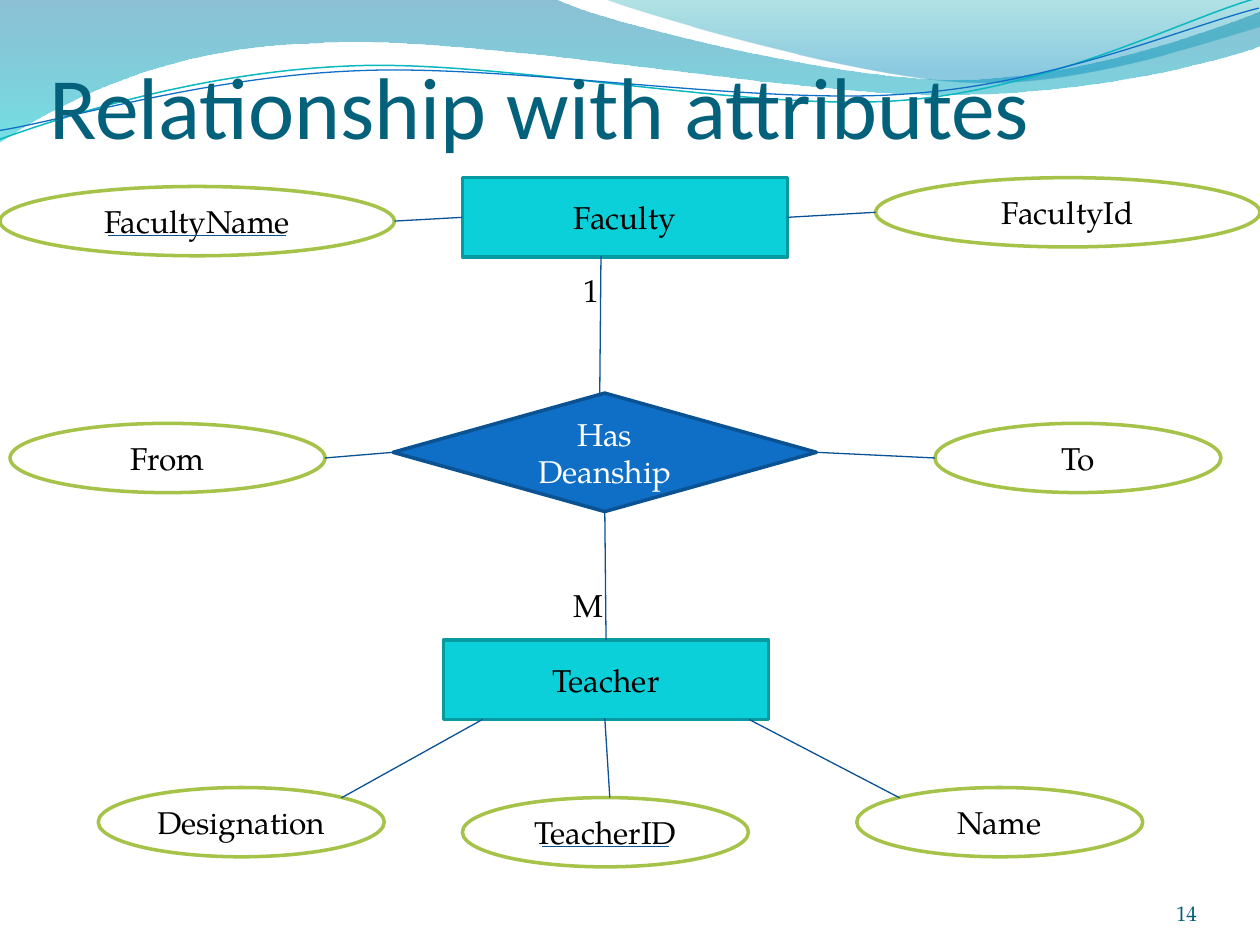
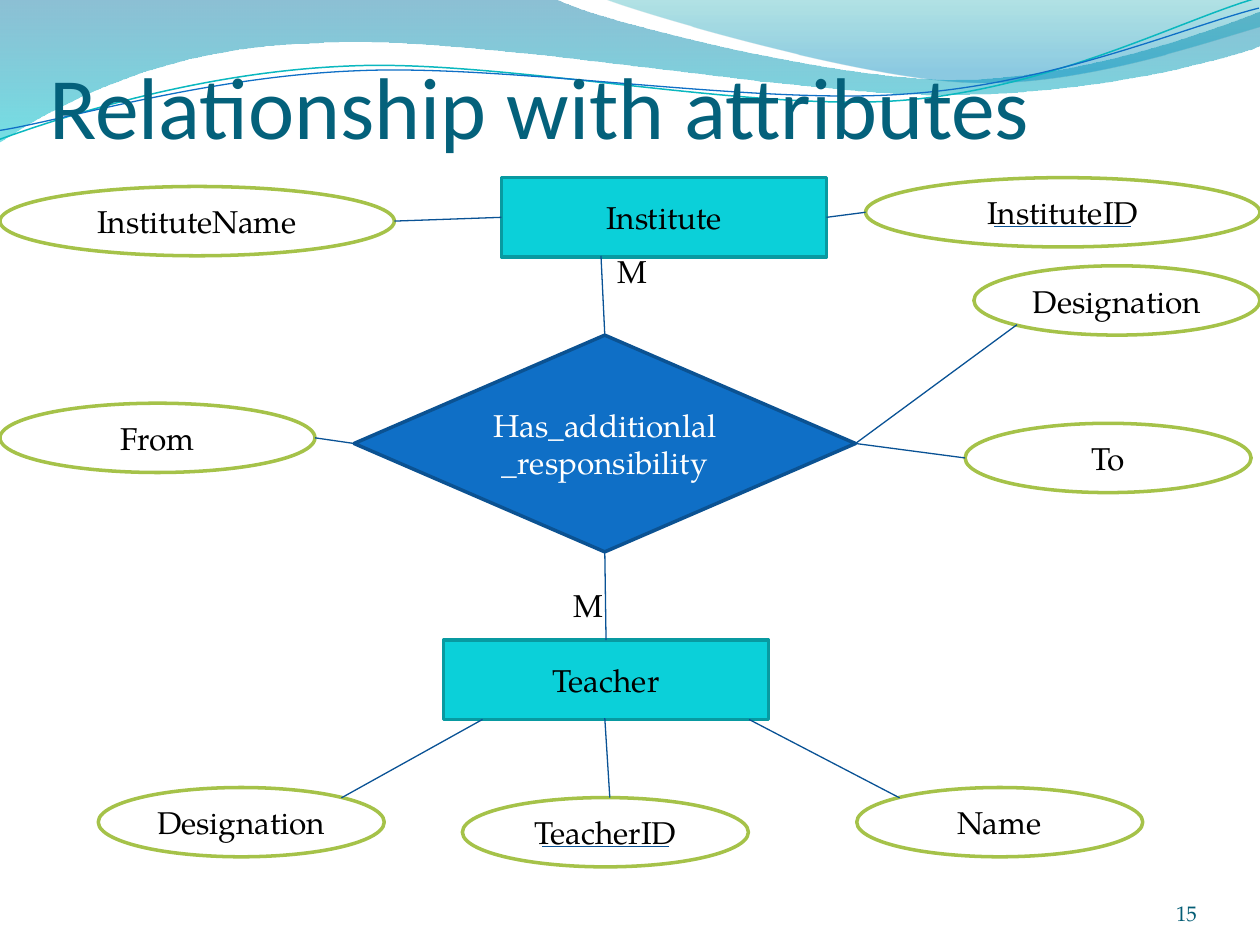
from lxml.etree import SubElement
from pptx import Presentation
from pptx.dml.color import RGBColor
from pptx.enum.shapes import MSO_CONNECTOR, MSO_SHAPE
from pptx.enum.text import MSO_ANCHOR, MSO_AUTO_SIZE, PP_ALIGN
from pptx.oxml.ns import qn
from pptx.util import Inches, Pt

BODY_FONT = "TeX Gyre Pagella"
LINK_COLOUR = "095295"

# Waves: start point, then segments of one point (straight) or three (Bezier);
# gradient stops with opacity, or stroke colour and width; rotation
WAVES = [
    ([(0, 0)], [
        [(4.4, -0.01)],
        [(4.76, 0.17), (6.64, 0.63), (7.58, 0.63)],
        [(8.53, 0.63), (9.58, 0.26), (10, 0.09)],
        [(10.01, 0.36)],
        [(9.83, 0.44), (8.7, 0.76), (7.46, 0.75)],
        [(6.22, 0.75), (3.82, 0.28), (2.57, 0.34)],
        [(1.29, 0.36), (0.46, 0.83), (-0.01, 1.13)]],
     [(0, "0074A1", 45), (1, "00C6CF", 55)], None, 0),
    ([(4.79, -0.01)], [
        [(5.09, 0.11), (6.82, 0.62), (7.69, 0.65)],
        [(8.56, 0.69), (9.61, 0.32), (10, 0.21)],
        [(10, 0)]],
     [(0, "00A1A9", 30), (0.8, "008BBF", 45)], None, 0),
    ([(-0.02, 0.87)], [
        [(0.47, 0.72), (1.58, 0.41), (2.78, 0.42)],
        [(3.96, 0.42), (5.91, 0.93), (7.12, 0.9)],
        [(8.32, 0.87), (9.4, 0.36), (10, 0.22)]],
     None, ("0AB8BF", 0.85), 357.3),
    ([(-0.02, 0.8)], [
        [(0.46, 0.75), (1.64, 0.45), (2.83, 0.46)],
        [(4.03, 0.46), (5.96, 0.88), (7.16, 0.85)],
        [(8.35, 0.83), (9.42, 0.42), (10.01, 0.3)]],
     None, ("0F6FC6", 0.75), 357.3),
]

# Node kinds: preset shape, fill, outline, text colour
KINDS = {
    "entity": (MSO_SHAPE.RECTANGLE, "0BD0D9", "089AA1", "000000"),
    "relation": (MSO_SHAPE.DIAMOND, "0F6FC6", "0B5292", "FFFFFF"),
    "attribute": (MSO_SHAPE.OVAL, "FFFFFF", "A5C249", "000000"),
}
ENTITY_SIZE = (2.58, 0.63)
OVAL_HEIGHT = 0.55
OVAL_SIZE = (2.27, OVAL_HEIGHT)

# Places on a node's outline, as shares of its width and height
SITES = {
    "top": (0.5, 0), "bottom": (0.5, 1), "left": (0, 0.5), "right": (1, 0.5),
    "top left": (0.15, 0.15), "top right": (0.85, 0.15),
    "bottom left": (0.15, 0.85),
    "foot left": (0.12, 1), "foot right": (0.94, 1),
}

# What both diagrams have: the teacher, its attributes and the links by role
TEACHER_NODES = {
    "teacher": ("entity", "Teacher", 3.52, 5.08, *ENTITY_SIZE),
    "post": ("attribute", "Designation", 0.78, 6.25, *OVAL_SIZE),
    "teacher id": ("attribute", "TeacherID", 3.67, 6.33, *OVAL_SIZE),
    "teacher name": ("attribute", "Name", 6.8, 6.25, *OVAL_SIZE),
}
COMMON_LINKS = [
    (("teacher", "top"), ("relation", "bottom")),
    (("relation", "right"), ("end", "left")),
    (("relation", "left"), ("start", "right")),
    (("teacher", "foot left"), ("post", "top right")),
    (("teacher", "foot right"), ("teacher name", "top left")),
    (("unit name", "right"), ("unit", "left")),
    (("unit", "right"), ("unit id", "left")),
]
TEACHER_LINES = [((5.31, 6.72), (4.3, 6.72)), ((4.8, 5.7), (4.84, 6.33))]
TEACHER_CARDINALITY = ("M", 4.45, 4.6, 0.43)

DIAGRAMS = [
    {
        "number": "14",
        "nodes": {
            "relation": ("relation", "Has Deanship", 3.12, 3.12, 3.36, 0.94),
            "end": ("attribute", "To", 7.42, 3.36, *OVAL_SIZE),
            "start": ("attribute", "From", 0.08, 3.36, 2.5, OVAL_HEIGHT),
            "unit": ("entity", "Faculty", 3.67, 1.41, *ENTITY_SIZE),
            "unit name": ("attribute", "FacultyName", 0, 1.48, 3.13, OVAL_HEIGHT),
            "unit id": ("attribute", "FacultyId", 6.95, 1.41, 3.05, OVAL_HEIGHT),
        },
        "links": [],
        "lines": [((4.76, 3.13), (4.77, 2.03)), ((0.86, 1.87), (2.27, 1.87))],
        "cardinality": ("1", 4.53, 2.1, 0.28),
    },
    {
        "number": "15",
        "nodes": {
            "relation": ("relation", "Has_additionlal_responsibility",
                         2.81, 2.66, 3.98, 1.72),
            "end": ("attribute", "To", 7.66, 3.36, *OVAL_SIZE),
            "start": ("attribute", "From", 0, 3.2, 2.5, OVAL_HEIGHT),
            "unit": ("entity", "Institute", 3.98, 1.41, *ENTITY_SIZE),
            "unit name": ("attribute", "InstituteName", 0, 1.48, 3.13, OVAL_HEIGHT),
            "duty": ("attribute", "Designation", 7.73, 2.11, *OVAL_SIZE),
            "unit id": ("attribute", "InstituteID", 6.87, 1.41, 3.13, OVAL_HEIGHT),
        },
        "links": [(("relation", "right"), ("duty", "bottom left"))],
        "lines": [((4.8, 2.66), (4.77, 2.03)), ((7.89, 1.8), (8.98, 1.8))],
        "cardinality": ("M", 4.8, 1.95, 0.43),
    },
]

TITLE_FRAME = {"word_wrap": True, "vertical_anchor": MSO_ANCHOR.BOTTOM,
               "margin_left": 0, "margin_top": Inches(0.05),
               "margin_right": 0, "margin_bottom": 0}
NUMBER_FRAME = {**TITLE_FRAME, "margin_top": 0}
NODE_FRAME = {"word_wrap": True, "vertical_anchor": MSO_ANCHOR.MIDDLE}
LABEL_FRAME = {"word_wrap": False, "auto_size": MSO_AUTO_SIZE.SHAPE_TO_FIT_TEXT}


def rgb(hex_code):
    """Return the colour for a hex string."""
    return RGBColor.from_string(hex_code)


def write(shape, text, frame_format, colour, size=18, font=BODY_FONT,
          align=PP_ALIGN.LEFT):
    """Put one formatted paragraph into a shape."""
    frame = shape.text_frame
    for name, value in frame_format.items():
        setattr(frame, name, value)
    paragraph = frame.paragraphs[0]
    paragraph.alignment = align
    run = paragraph.add_run()
    run.text = text
    for name, value in {"name": font, "size": Pt(size)}.items():
        setattr(run.font, name, value)
    run.font.color.rgb = rgb(colour)


deck = Presentation()
deck.slide_width, deck.slide_height = Inches(10), Inches(7.5)

for diagram in DIAGRAMS:
    slide = deck.slides.add_slide(deck.slide_layouts[6])
    shapes = slide.shapes

    # Wave header: draw through every point, then turn triples into curves
    for start, segments, stops, stroke, rotation in WAVES:
        points = [(Inches(x), Inches(y)) for x, y in sum(segments, start)]
        builder = shapes.build_freeform(*points[0])
        builder.add_line_segments(points[1:], close=stops is not None)
        wave = builder.convert_to_shape()
        straights = iter(list(wave._element.iter(qn("a:lnTo"))))
        for segment in segments:
            steps = [next(straights) for _ in segment]
            if len(steps) == 3:
                steps[0].tag = qn("a:cubicBezTo")
                for step in steps[1:]:
                    steps[0].append(step[0])
                    step.getparent().remove(step)
        wave.shadow.inherit = False
        wave.rotation = rotation
        if stops:
            wave.line.fill.background()
            wave.fill.gradient()
            wave.fill.gradient_angle = 270
            for stop, (position, colour, _) in zip(wave.fill.gradient_stops, stops):
                stop.position = position
                stop.color.rgb = rgb(colour)
            for code, (_, _, opacity) in zip(wave._element.spPr.iter(qn("a:srgbClr")), stops):
                SubElement(code, qn("a:alpha"), val=str(opacity * 1000))
        else:
            wave.fill.background()
            wave.line.color.rgb = rgb(stroke[0])
            wave.line.width = Pt(stroke[1])

    # Title and slide number
    title = shapes.add_textbox(Inches(0.39), Inches(0.23), Inches(9), Inches(1.02))
    write(title, "Relationship with attributes", TITLE_FRAME, "04617B", 50, "Calibri")
    number = shapes.add_textbox(Inches(8.67), Inches(6.95), Inches(0.83), Inches(0.4))
    write(number, diagram["number"], NUMBER_FRAME, "045D75", 12, align=PP_ALIGN.RIGHT)

    # Entities, relationship and attributes
    nodes = {**TEACHER_NODES, **diagram["nodes"]}
    for kind, text, *box in nodes.values():
        preset, fill, edge, ink = KINDS[kind]
        node = shapes.add_shape(preset, *(Inches(length) for length in box))
        node.shadow.inherit = False
        node.fill.solid()
        node.fill.fore_color.rgb = rgb(fill)
        node.line.color.rgb = rgb(edge)
        node.line.width = Pt(2)
        write(node, text, NODE_FRAME, ink, align=PP_ALIGN.CENTER)

    # Links between nodes, and the lines under key attributes
    lines = TEACHER_LINES + diagram["lines"]
    for link in COMMON_LINKS + diagram["links"]:
        ends = []
        for role, site in link:
            left, top, width, height = nodes[role][2:]
            across, down = SITES[site]
            ends.append((left + across * width, top + down * height))
        lines.append(ends)
    for begin, end in lines:
        connector = shapes.add_connector(
            MSO_CONNECTOR.STRAIGHT, *(Inches(length) for length in (*begin, *end)))
        connector.line.color.rgb = rgb(LINK_COLOUR)
        connector.line.width = Pt(0.75)
        SubElement(connector._element.spPr, qn("a:effectLst"))

    # Cardinalities
    for text, left, top, width in (diagram["cardinality"], TEACHER_CARDINALITY):
        label = shapes.add_textbox(Inches(left), Inches(top), Inches(width), Inches(0.4))
        write(label, text, LABEL_FRAME, "000000")

deck.save("out.pptx")
